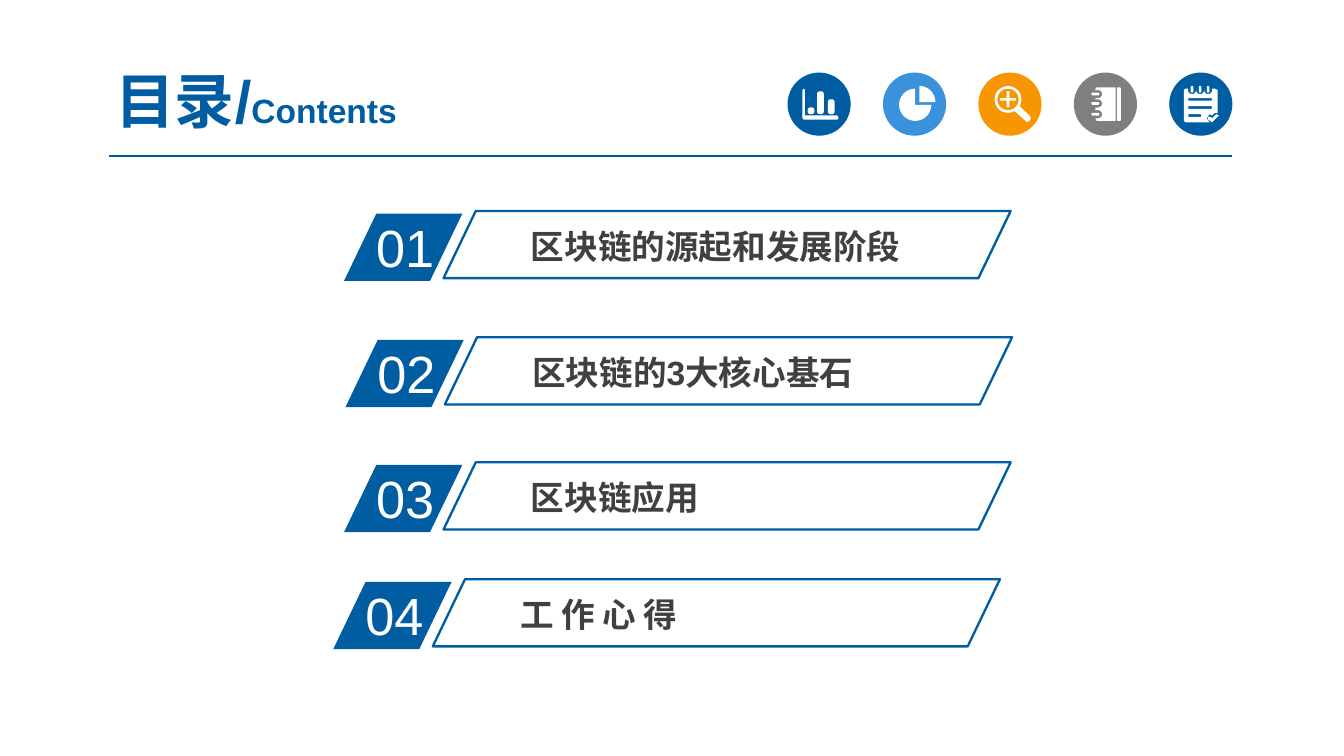
from dataclasses import dataclass
from math import cos, radians, sin

from lxml import etree
from pptx import Presentation
from pptx.dml.color import RGBColor
from pptx.enum.shapes import MSO_CONNECTOR, MSO_SHAPE
from pptx.enum.text import MSO_ANCHOR, MSO_AUTO_SIZE, PP_ALIGN
from pptx.oxml.ns import qn
from pptx.util import Inches, Pt

OVAL = MSO_SHAPE.OVAL
PARALLELOGRAM = MSO_SHAPE.PARALLELOGRAM
STRAIGHT = MSO_CONNECTOR.STRAIGHT
MIDDLE = MSO_ANCHOR.MIDDLE
TOP = MSO_ANCHOR.TOP
CENTER = PP_ALIGN.CENTER
NO_AUTOFIT = MSO_AUTO_SIZE.NONE


@dataclass(frozen=True)
class Theme:
    font: str = "Arial"
    blue: str = "005DA2"
    rule: str = "005B9E"
    sky: str = "3992DB"
    orange: str = "F79600"
    gray: str = "7F7F7F"
    dark: str = "404040"
    white: str = "FFFFFF"
    title: int = 32
    number: int = 28
    body: int = 18


THEME = Theme()

ITEMS = [
    (2.56, 1.59, "区块链的源起和发展阶段"),
    (2.57, 2.53, "区块链的3大核心基石"),
    (2.56, 3.46, "区块链应用"),
    (2.48, 4.33, "工 作 心 得"),
]


def rgb(color):
    return RGBColor.from_string(color)


def set_attrs(obj, values):
    for name, value in values.items():
        setattr(obj, name, value)


def add_run(p, text, size, color, bold=False):
    r = p.add_run()
    r.text = text
    set_attrs(r.font, {"name": THEME.font, "size": Pt(size), "bold": bold})
    r.font.color.rgb = rgb(color)


def paint(shape, fill=None, line=None):
    shape.shadow.inherit = False
    if fill:
        shape.fill.solid()
        shape.fill.fore_color.rgb = rgb(fill)
    else:
        shape.fill.background()
    if line:
        shape.line.color.rgb = rgb(line)
        shape.line.width = Pt(1.25)
    else:
        shape.line.fill.background()


def add_preset(s, kind, x, y, w, h, fill=None, line=None):
    sp = s.shapes.add_shape(kind, Inches(x), Inches(y), Inches(w), Inches(h))
    paint(sp, fill, line)
    return sp


def add_slanted(s, x, y, w, fill=None, line=None):
    sp = add_preset(s, PARALLELOGRAM, x, y, w, 0.5, fill, line)
    sp.adjustments[0] = 0.48


def add_text(s, x, y, w, h, text, size, color, bold=False, insets=(0.1, 0.05)):
    tf = s.shapes.add_textbox(Inches(x), Inches(y), Inches(w), Inches(h)).text_frame
    side, edge = map(Inches, insets)
    set_attrs(tf, {"word_wrap": True, "vertical_anchor": TOP,
                   "margin_left": side, "margin_right": side,
                   "margin_top": edge, "margin_bottom": edge})
    add_run(tf.paragraphs[0], text, size, color, bold)


def add_title(s):
    sp = s.shapes.title
    set_attrs(sp, {"left": Inches(0.67), "top": Inches(0.47),
                   "width": Inches(2.47), "height": Inches(0.54)})
    tf = sp.text_frame
    set_attrs(tf, {"word_wrap": True, "vertical_anchor": MIDDLE,
                   "auto_size": NO_AUTOFIT})
    p = tf.paragraphs[0]
    p.alignment = CENTER
    add_run(p, "目录/", THEME.title, THEME.blue, True)
    add_run(p, "Contents", THEME.body, THEME.blue, True)


def add_rule(s):
    line = s.shapes.add_connector(STRAIGHT, Inches(0.81), Inches(1.16),
                                  Inches(9.17), Inches(1.16))
    line.line.color.rgb = rgb(THEME.rule)
    line.line.width = Pt(0.75)
    etree.SubElement(line._element.spPr, qn("a:effectLst"))


def add_item(s, number, x, y, text):
    add_slanted(s, x, y, 0.88, fill=THEME.blue)
    add_text(s, x + 0.14, y - 0.04, 0.84, 0.57, f"{number:02}",
             THEME.number, THEME.white)
    add_text(s, x + 1.32, y + 0.05, 3.09, 0.38, text,
             THEME.body, THEME.dark, True, (0.07, 0.04))
    add_slanted(s, x + 0.74, y - 0.02, 4.22, line=THEME.blue)


def arc(cx, cy, radius, start, end, steps=24):
    angles = [radians(start + (end - start) * i / steps) for i in range(steps + 1)]
    return [(cx + radius * cos(a), cy + radius * sin(a)) for a in angles]


def rounded(x, y, w, h, radius=0.01):
    corners = [(x + w - radius, y + h - radius, 0), (x + radius, y + h - radius, 90),
               (x + radius, y + radius, 180), (x + w - radius, y + radius, 270)]
    return [pt for cx, cy, a in corners for pt in arc(cx, cy, radius, a, a + 90, 6)]


def chart_icon():
    axes = [(5.97, 0.67), (5.98, 0.66), (5.99, 0.67), (5.99, 0.86),
            (6.23, 0.86), (6.24, 0.88), (6.23, 0.89), (5.98, 0.89), (5.97, 0.88)]
    bars = [(6.01, 0.8), (6.08, 0.68), (6.16, 0.74)]
    return [axes] + [rounded(x, y, 0.05, 0.85 - y, 0.02) for x, y in bars]


def pie_icon():
    return [[(6.84, 0.76)] + arc(6.84, 0.76, 0.12, -90, 0),
            [(6.81, 0.78)] + arc(6.81, 0.78, 0.12, 0, 270)]


def zoom_icon():
    x, y, arm, half = 7.5, 0.74, 0.06, 0.01
    handle = [(7.66, 0.86), (7.67, 0.88), (7.66, 0.9), (7.64, 0.91), (7.63, 0.9)]
    quarter = [(half, -arm), (half, -half), (arm, -half)]
    plus = []
    for _ in range(4):
        plus += [(x + dx, y + dy) for dx, dy in quarter]
        quarter = [(-dy, dx) for dx, dy in quarter]
    return [arc(x, y, 0.1, 60, 390) + handle, arc(x, y, 0.08, 0, 360), plus]


def notebook_icon():
    rings = [0.85, 0.77, 0.7]
    page = [(8.3, 0.65), (8.3, 0.9), (8.16, 0.9), (8.15, 0.88)]
    for y in rings:
        page += [(8.15, y + 0.03)] + arc(8.17, y, 0.03, 90, -90) + [(8.15, y - 0.03)]
    page += [(8.15, 0.66), (8.16, 0.65)]
    return ([page, rounded(8.31, 0.65, 0.03, 0.25)]
            + [rounded(8.12, y - 0.01, 0.06, 0.02) for y in rings])


def notepad_icon():
    rings = [8.87, 8.93, 8.99]
    page = [(8.82, 0.91), (8.81, 0.9), (8.81, 0.67), (8.82, 0.66)]
    for x in rings:
        page += [(x - 0.03, 0.66)] + arc(x, 0.67, 0.03, 180, 0) + [(x + 0.03, 0.66)]
    page += [(9.04, 0.66), (9.06, 0.67), (9.06, 0.84), (9.04, 0.84), (9.02, 0.86),
             (9, 0.85), (8.98, 0.88), (9, 0.91)]
    check = [(9.06, 0.87), (9.02, 0.91), (8.99, 0.89), (8.99, 0.87),
             (9.01, 0.87), (9.02, 0.88), (9.05, 0.85), (9.07, 0.86)]
    lines = [(0.73, 0.18), (0.79, 0.18), (0.85, 0.1)]
    return ([page, check] + [rounded(8.84, y, w, 0.02) for y, w in lines]
            + [rounded(x - 0.01, 0.64, 0.02, 0.05) for x in rings])


def add_icon(s, x, color, contours):
    add_preset(s, OVAL, x, 0.54, 0.47, 0.47, color)
    paths = [[(Inches(px), Inches(py)) for px, py in c] for c in contours]
    builder = s.shapes.build_freeform(*paths[0][0])
    builder.add_line_segments(paths[0][1:])
    for points in paths[1:]:
        builder.move_to(*points[0])
        builder.add_line_segments(points[1:])
    paint(builder.convert_to_shape(), THEME.white)


def main():
    prs = Presentation()
    prs.slide_width = Inches(10)
    prs.slide_height = prs.slide_width * 9 // 16
    s = prs.slides.add_slide(prs.slide_layouts[5])
    add_title(s)
    add_rule(s)
    for number, item in enumerate(ITEMS, 1):
        add_item(s, number, *item)
    icons = [(THEME.blue, chart_icon), (THEME.sky, pie_icon), (THEME.orange, zoom_icon),
             (THEME.gray, notebook_icon), (THEME.blue, notepad_icon)]
    for i, (color, draw) in enumerate(icons):
        add_icon(s, 5.86 + 0.71 * i, color, draw())
    prs.save("out.pptx")


if __name__ == "__main__":
    main()
